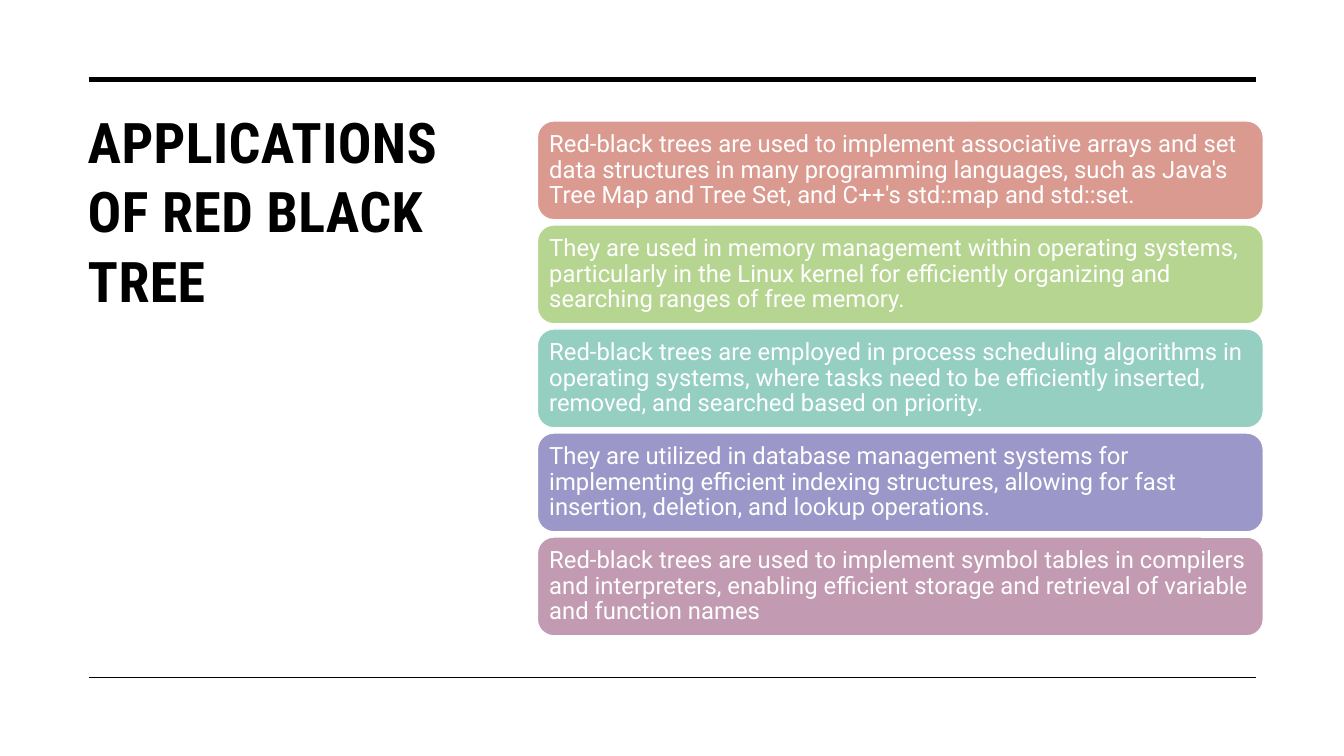
from pptx import Presentation
from pptx.dml.color import RGBColor
from pptx.enum.shapes import MSO_CONNECTOR, MSO_SHAPE
from pptx.enum.text import MSO_ANCHOR, PP_ALIGN
from pptx.oxml.ns import qn
from pptx.util import Inches, Pt
from lxml.etree import SubElement

COLORS = {
    "black": "000000", "white": "FFFFFF", "coral": "DB9A8F", "green": "B6D591",
    "teal": "94CFC2", "violet": "9C97C9", "mauve": "C29AB1",
}
TITLE_FONT = {"name": "Roboto Condensed", "size": Pt(40), "bold": True}
CARD_FONT = {"name": "Roboto", "size": Pt(17), "bold": False}

APPLICATIONS = [
    ("coral", "Red-black trees are used to implement associative arrays and set data "
     "structures in many programming languages, such as Java's Tree Map and Tree Set, "
     "and C++'s std::map and std::set."),
    ("green", "They are used in memory management within operating systems, particularly "
     "in the Linux kernel for efficiently organizing and searching ranges of free memory."),
    ("teal", "Red-black trees are employed in process scheduling algorithms in operating "
     "systems, where tasks need to be efficiently inserted, removed, and searched based "
     "on priority."),
    ("violet", "They are utilized in database management systems for implementing efficient "
     "indexing structures, allowing for fast insertion, deletion, and lookup operations."),
    ("mauve", "Red-black trees are used to implement symbol tables in compilers and "
     "interpreters, enabling efficient storage and retrieval of variable and function names"),
]


def rgb(name):
    return RGBColor.from_string(COLORS[name])


def write_text(shape, text, font_format, color, line_spacing, anchor):
    frame = shape.text_frame
    frame.word_wrap = True
    frame.vertical_anchor = anchor
    paragraph = frame.paragraphs[0]
    paragraph.alignment = PP_ALIGN.LEFT
    paragraph.line_spacing = line_spacing
    run = paragraph.add_run()
    run.text = text
    for attribute, value in font_format.items():
        setattr(run.font, attribute, value)
    run.font.color.rgb = rgb(color)
    return run


presentation = Presentation()
presentation.slide_width, presentation.slide_height = Inches(13.33), Inches(7.5)
slide = presentation.slides.add_slide(presentation.slide_layouts[5])
slide.background.fill.solid()
slide.background.fill.fore_color.rgb = rgb("white")

# Title
title = slide.shapes.title
title.left, title.top, title.width, title.height = map(Inches, (0.77, 1, 4, 4.82))
title_run = write_text(title, "APPLICATIONS OF RED BLACK TREE", TITLE_FONT, "black",
                       1.03, MSO_ANCHOR.TOP)
title_run.font._element.set("spc", "30")

# Rules above and below the content
for rule_top, weight in ((0.79, 3.5), (6.72, 1)):
    rule = slide.shapes.add_connector(
        MSO_CONNECTOR.STRAIGHT, Inches(0.88), Inches(rule_top), Inches(12.46), Inches(rule_top))
    rule.line.color.rgb = rgb("black")
    rule.line.width = Pt(weight)
    SubElement(rule._element.spPr, qn("a:effectLst"))

# One card per application
for index, (color, text) in enumerate(APPLICATIONS):
    card = slide.shapes.add_shape(
        MSO_SHAPE.ROUNDED_RECTANGLE, Inches(5.33), Inches(1.2 + index * 1.032),
        Inches(7.2), Inches(0.98))
    card.shadow.inherit = False
    card.fill.solid()
    card.fill.fore_color.rgb = rgb(color)
    card.line.color.rgb = rgb("white")
    card.line.width = Pt(1)
    for side in ("left", "top", "right", "bottom"):
        setattr(card.text_frame, f"margin_{side}", Inches(0.07))
    write_text(card, text, CARD_FONT, "white", 0.9, MSO_ANCHOR.MIDDLE)

presentation.save("out.pptx")
